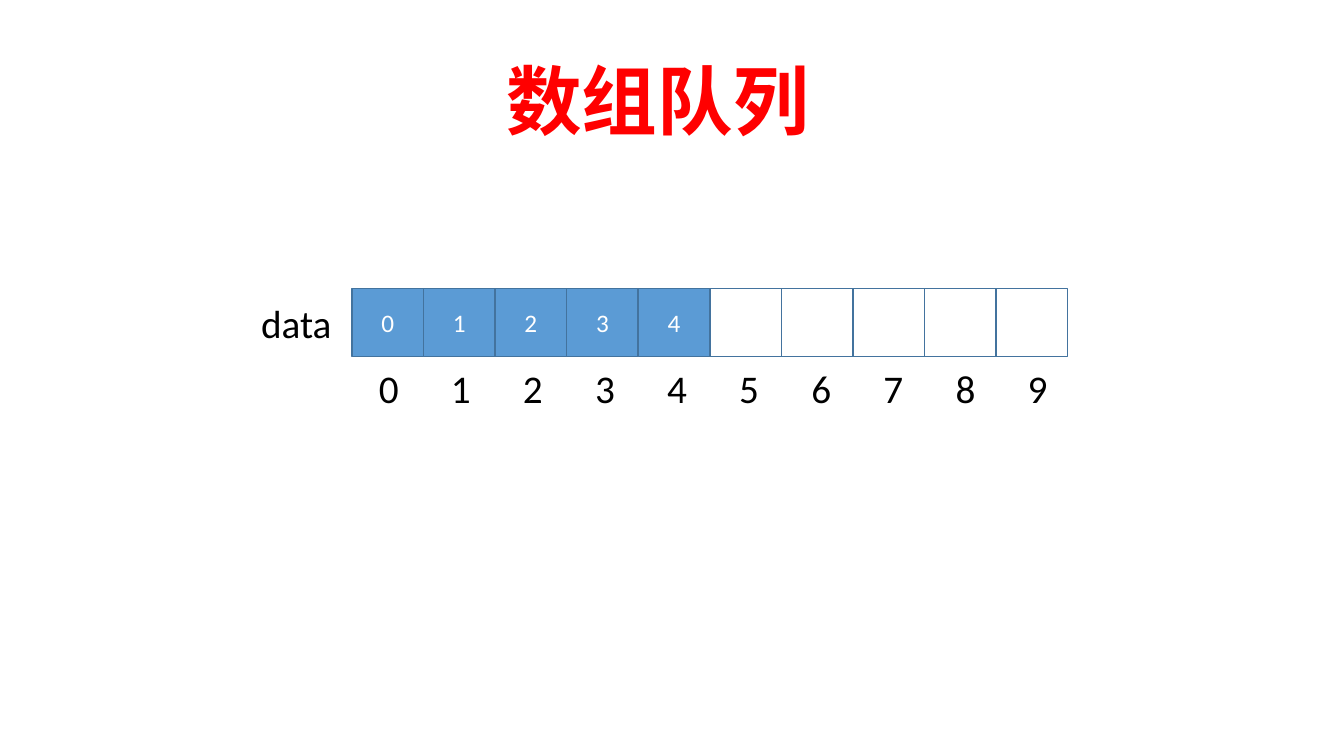
from dataclasses import dataclass
from typing import Optional

from pptx import Presentation
from pptx.dml.color import RGBColor
from pptx.enum.shapes import MSO_SHAPE
from pptx.enum.text import MSO_ANCHOR, MSO_AUTO_SIZE, PP_ALIGN
from pptx.shapes.autoshape import Shape
from pptx.slide import Slide
from pptx.util import Inches, Pt


@dataclass(frozen=True)
class Theme:
    font: str = "Calibri"
    title_color: RGBColor = RGBColor(0xFF, 0x00, 0x00)
    label_color: RGBColor = RGBColor(0x00, 0x00, 0x00)
    value_color: RGBColor = RGBColor(0xFF, 0xFF, 0xFF)
    cell_fill: RGBColor = RGBColor(0x5B, 0x9B, 0xD5)
    cell_line: RGBColor = RGBColor(0x43, 0x73, 0x9E)
    title_size: int = 54
    label_size: int = 28
    value_size: int = 18


@dataclass(frozen=True)
class Box:
    left: float
    top: float
    width: float
    height: float


@dataclass(frozen=True)
class Row:
    """Equal boxes placed side by side at a fixed pitch."""
    first: Box
    pitch: float

    def box(self, index: int) -> Box:
        first = self.first
        return Box(first.left + index * self.pitch, first.top, first.width, first.height)


THEME = Theme()
CAPACITY = 10
QUEUE_VALUES = ["0", "1", "2", "3", "4"]
TITLE_BOX = Box(4.92, 0.48, 7.3, 1.01)
NAME_BOX = Box(2.32, 2.92, 1.41, 0.57)
CELLS = Row(Box(3.49, 2.86, 0.71, 0.68), 0.71)
INDEXES = Row(Box(3.5, 3.57, 0.71, 0.57), 0.715)


def place(shape: Shape, box: Box) -> None:
    shape.left, shape.top = Inches(box.left), Inches(box.top)
    shape.width, shape.height = Inches(box.width), Inches(box.height)


def write(shape: Shape, text: str, *, size: int, color: RGBColor, bold: bool = False,
          align: PP_ALIGN = PP_ALIGN.LEFT, anchor: MSO_ANCHOR = MSO_ANCHOR.TOP,
          margin_left: float = 0.1) -> None:
    frame = shape.text_frame
    frame.text = text
    frame.word_wrap = True
    frame.auto_size = MSO_AUTO_SIZE.NONE
    frame.vertical_anchor = anchor
    frame.margin_left = Inches(margin_left)
    paragraph = frame.paragraphs[0]
    paragraph.alignment = align
    font = paragraph.runs[0].font
    font.name, font.size, font.bold = THEME.font, Pt(size), bold
    font.color.rgb = color


def add_label(slide: Slide, box: Box, text: str, align: PP_ALIGN = PP_ALIGN.LEFT,
              margin_left: float = 0.1) -> None:
    label = slide.shapes.add_textbox(0, 0, 0, 0)
    place(label, box)
    write(label, text, size=THEME.label_size, color=THEME.label_color,
          align=align, margin_left=margin_left)


def add_cell(slide: Slide, box: Box, value: Optional[str]) -> None:
    """Draw one array slot: filled with its value, or hollow when it is free."""
    cell = slide.shapes.add_shape(MSO_SHAPE.RECTANGLE, 0, 0, 0, 0)
    place(cell, box)
    cell.shadow.inherit = False
    cell.line.color.rgb = THEME.cell_line
    cell.line.width = Pt(1)
    if value is None:
        cell.fill.background()
        return
    cell.fill.solid()
    cell.fill.fore_color.rgb = THEME.cell_fill
    write(cell, value, size=THEME.value_size, color=THEME.value_color,
          align=PP_ALIGN.CENTER, anchor=MSO_ANCHOR.MIDDLE)


def main() -> None:
    presentation = Presentation()
    presentation.slide_width, presentation.slide_height = Inches(13.33), Inches(7.5)
    slide = presentation.slides.add_slide(presentation.slide_layouts.get_by_name("Title Only"))

    title = slide.shapes.title
    place(title, TITLE_BOX)
    write(title, "数组队列", size=THEME.title_size, color=THEME.title_color, bold=True)

    add_label(slide, NAME_BOX, "data", margin_left=0.27)
    for index in range(CAPACITY):
        value = QUEUE_VALUES[index] if index < len(QUEUE_VALUES) else None
        add_cell(slide, CELLS.box(index), value)
        add_label(slide, INDEXES.box(index), str(index), align=PP_ALIGN.CENTER)

    presentation.save("out.pptx")


if __name__ == "__main__":
    main()
